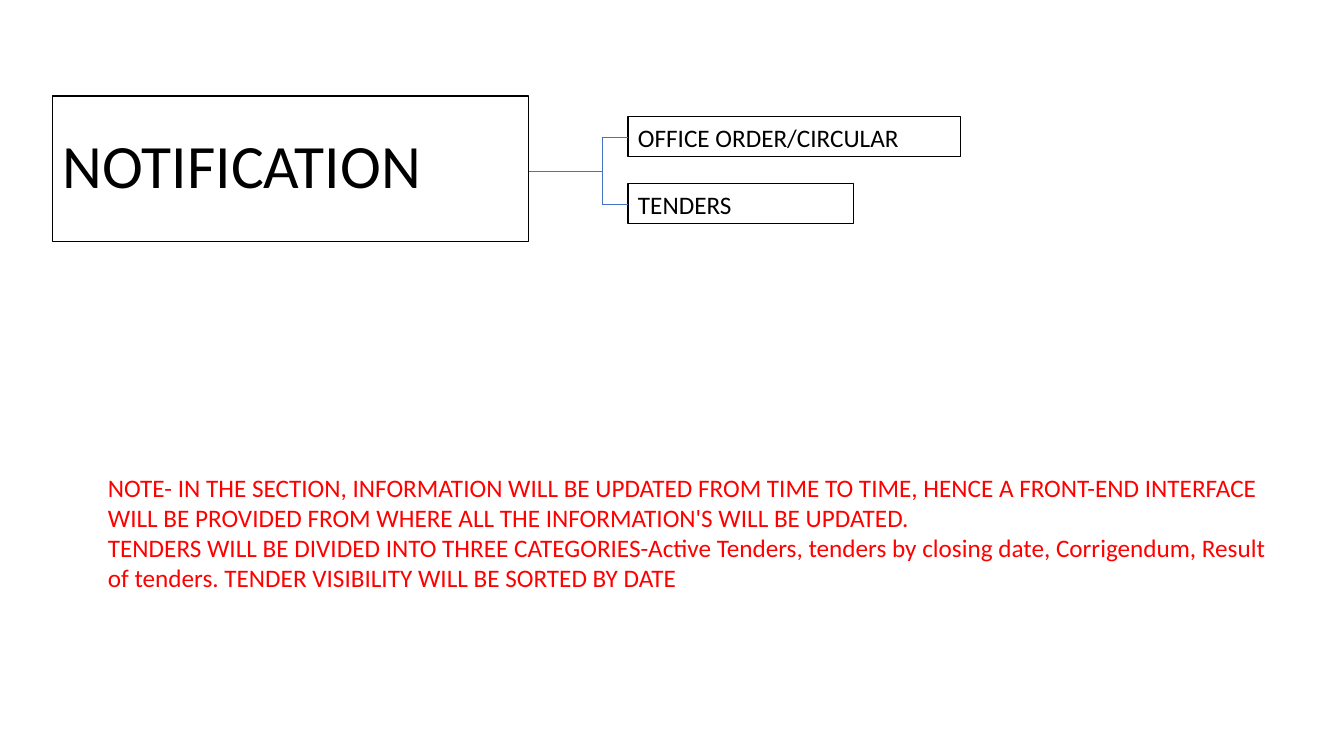
from pptx import Presentation, util as u
from pptx.dml.color import RGBColor
from pptx.enum import shapes, text
from pptx.oxml.ns import qn
from lxml import etree

BLACK = RGBColor(0, 0, 0)
RED = RGBColor(255, 0, 0)
BLUE = RGBColor(0x44, 0x72, 0xC4)
PX = u.Inches(1) / 100.8


def px(*nums):
    return [round(n * PX) for n in nums]


def write(words, area, size=18, color=BLACK, edge=None, space=1.0,
          anchor=text.MSO_ANCHOR.TOP):
    box = deck.shapes.add_textbox(*px(*area))
    if edge is not None:
        box.line.color.rgb = edge
        box.line.width = u.Pt(0.75)
    frame = box.text_frame
    frame.word_wrap = True
    frame.vertical_anchor = anchor
    frame.text = words
    for para in frame.paragraphs:
        para.line_spacing = space
        para.font.size = u.Pt(size)
        para.font.name = "Calibri"
        para.font.color.rgb = color
    return box


show = Presentation()
show.slide_width, show.slide_height = px(1344, 756)
deck = show.slides.add_slide(show.slide_layouts[6])

# Title box
write("NOTIFICATION", (53, 96, 476, 146), size=44, edge=BLACK, space=0.9,
      anchor=text.MSO_ANCHOR.MIDDLE)

# Branch boxes
order = write("OFFICE ORDER/CIRCULAR", (628, 117, 333, 40), edge=BLACK)
tender = write("TENDERS", (628, 184, 226, 40), edge=BLACK)

# Bracket from the title to the branches
TRUNK = 602
for x1, y1, x2, y2, goal in [
    (TRUNK, 137, 628, 137, order),
    (TRUNK, 137, TRUNK, 204, None),
    (529, 171, TRUNK, 171, None),
    (TRUNK, 204, 628, 204, tender),
]:
    line = deck.shapes.add_connector(shapes.MSO_CONNECTOR.STRAIGHT,
                                     *px(x1, y1, x2, y2))
    line.line.color.rgb = BLUE
    line.line.width = u.Pt(0.5)
    etree.SubElement(line._element.spPr, qn("a:effectLst"))
    if goal is not None:
        line.end_connect(goal, 1)

# Note
write("NOTE- IN THE SECTION, INFORMATION WILL BE UPDATED FROM TIME TO TIME, "
      "HENCE A FRONT-END INTERFACE WILL BE PROVIDED FROM WHERE ALL THE "
      "INFORMATION'S WILL BE UPDATED.\n"
      "TENDERS WILL BE DIVIDED INTO THREE CATEGORIES-Active Tenders, tenders "
      "by closing date, Corrigendum, Result of tenders. TENDER VISIBILITY "
      "WILL BE SORTED BY DATE",
      (98, 467, 1179, 132), color=RED)

show.save("out.pptx")
